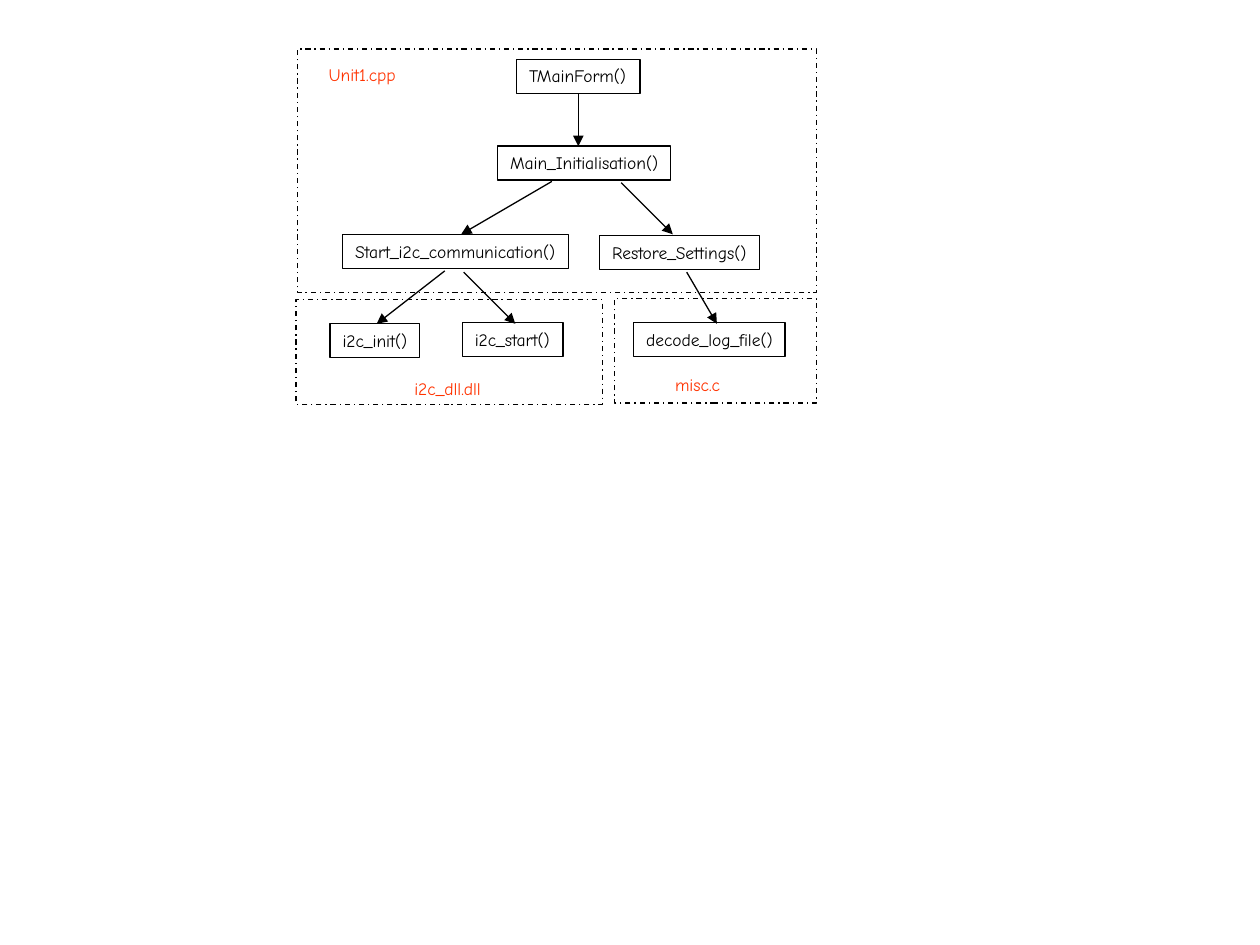
"""Draw the start-up call graph, grouped by source file."""
from dataclasses import dataclass
from typing import Optional

from lxml import etree
from pptx import Presentation
from pptx.dml.color import RGBColor
from pptx.enum import dml, shapes, text
from pptx.oxml import ns
from pptx.util import Inches, Pt

FONT = "Comic Neue"
BLACK = "000000"
RED = "FF3300"
HIGH = 0.27


@dataclass
class Node:
    name: str
    left: float
    top: float
    width: float


@dataclass
class Call:
    start: tuple[float, float]
    end: tuple[float, float]
    source: Optional[str] = None


@dataclass
class Group:
    left: float
    top: float
    width: float
    height: float
    label: Node


NODES = [
    Node("TMainForm()", 4.1, 0.47, 0.98),
    Node("Main_Initialisation()", 3.95, 1.16, 1.37),
    Node("Start_i2c_communication()", 2.72, 1.86, 1.79),
    Node("Restore_Settings()", 4.76, 1.87, 1.27),
    Node("i2c_init()", 2.62, 2.57, 0.71),
    Node("i2c_start()", 3.67, 2.56, 0.8),
    Node("decode_log_file()", 5.03, 2.56, 1.2),
]
CALLS = [
    Call((4.59, 0.75), (4.59, 1.16), source="TMainForm()"),
    Call((4.38, 1.44), (3.66, 1.86)),
    Call((4.93, 1.45), (5.34, 1.86)),
    Call((3.53, 2.15), (2.99, 2.57)),
    Call((3.68, 2.16), (4.09, 2.57)),
    Call((5.45, 2.16), (5.69, 2.57)),
]
GROUPS = [
    Group(2.35, 2.38, 2.43, 0.83, Node("i2c_dll.dll", 3.19, 2.95, 0.73)),
    Group(4.88, 2.37, 1.6, 0.83, Node("misc.c", 5.26, 2.92, 0.56)),
    Group(2.36, 0.39, 4.12, 1.93, Node("Unit1.cpp", 2.51, 0.46, 0.73)),
]


def paint(fmt, color: str) -> None:
    """Give a fill or font a solid colour."""
    if hasattr(fmt, "solid"):
        fmt.solid()
        fmt.fore_color.rgb = RGBColor.from_string(color)
    else:
        fmt.color.rgb = RGBColor.from_string(color)


def stroke(shape) -> None:
    """Give a shape or connector the thin black line."""
    paint(shape.line.fill, BLACK)
    shape.line.width = Pt(0.75)


def add_rect(slide, left: float, top: float, width: float, height: float):
    """Add an unfilled outlined rectangle."""
    rect = slide.shapes.add_shape(
        shapes.MSO_SHAPE.RECTANGLE, *map(Inches, (left, top, width, height)))
    rect.shadow.inherit = False
    rect.fill.background()
    stroke(rect)
    return rect


def write(shape, words: str, color: str) -> None:
    """Set one left-aligned line in a box that fits its text."""
    frame = shape.text_frame
    frame.word_wrap = False
    frame.auto_size = text.MSO_AUTO_SIZE.SHAPE_TO_FIT_TEXT
    frame.vertical_anchor = text.MSO_ANCHOR.TOP
    line = frame.paragraphs[0]
    line.text = words
    line.alignment = text.PP_ALIGN.LEFT
    line.font.name = FONT
    line.font.size = Pt(10)
    paint(line.font, color)


def add_node(slide, node: Node):
    """Add a function box."""
    box = add_rect(slide, node.left, node.top, node.width, HIGH)
    write(box, node.name, BLACK)
    box.text_frame.margin_right = Inches(0.05)
    return box


def add_call(slide, call: Call, boxes: dict) -> None:
    """Add an arrow from caller to callee."""
    arrow = slide.shapes.add_connector(
        shapes.MSO_CONNECTOR.STRAIGHT, *map(Inches, call.start + call.end))
    if call.source:
        arrow.begin_connect(boxes[call.source], 2)
    stroke(arrow)
    etree.SubElement(arrow.line.fill._xPr, ns.qn("a:tailEnd"), type="triangle")
    etree.SubElement(arrow._element.spPr, ns.qn("a:effectLst"))


def add_group(slide, group: Group) -> None:
    """Add a dashed file frame and its red label."""
    frame = add_rect(slide, group.left, group.top, group.width, group.height)
    frame.line.dash_style = dml.MSO_LINE.DASH_DOT
    label = group.label
    box = slide.shapes.add_textbox(
        *map(Inches, (label.left, label.top, label.width, HIGH)))
    write(box, label.name, RED)


def main() -> None:
    """Build and save the slide."""
    deck = Presentation()
    deck.slide_width = Inches(10)
    deck.slide_height = Inches(7.5)
    slide = deck.slides.add_slide(deck.slide_layouts[6])
    boxes = {node.name: add_node(slide, node) for node in NODES}
    for call in CALLS:
        add_call(slide, call, boxes)
    for group in GROUPS:
        add_group(slide, group)
    deck.save("out.pptx")


if __name__ == "__main__":
    main()
